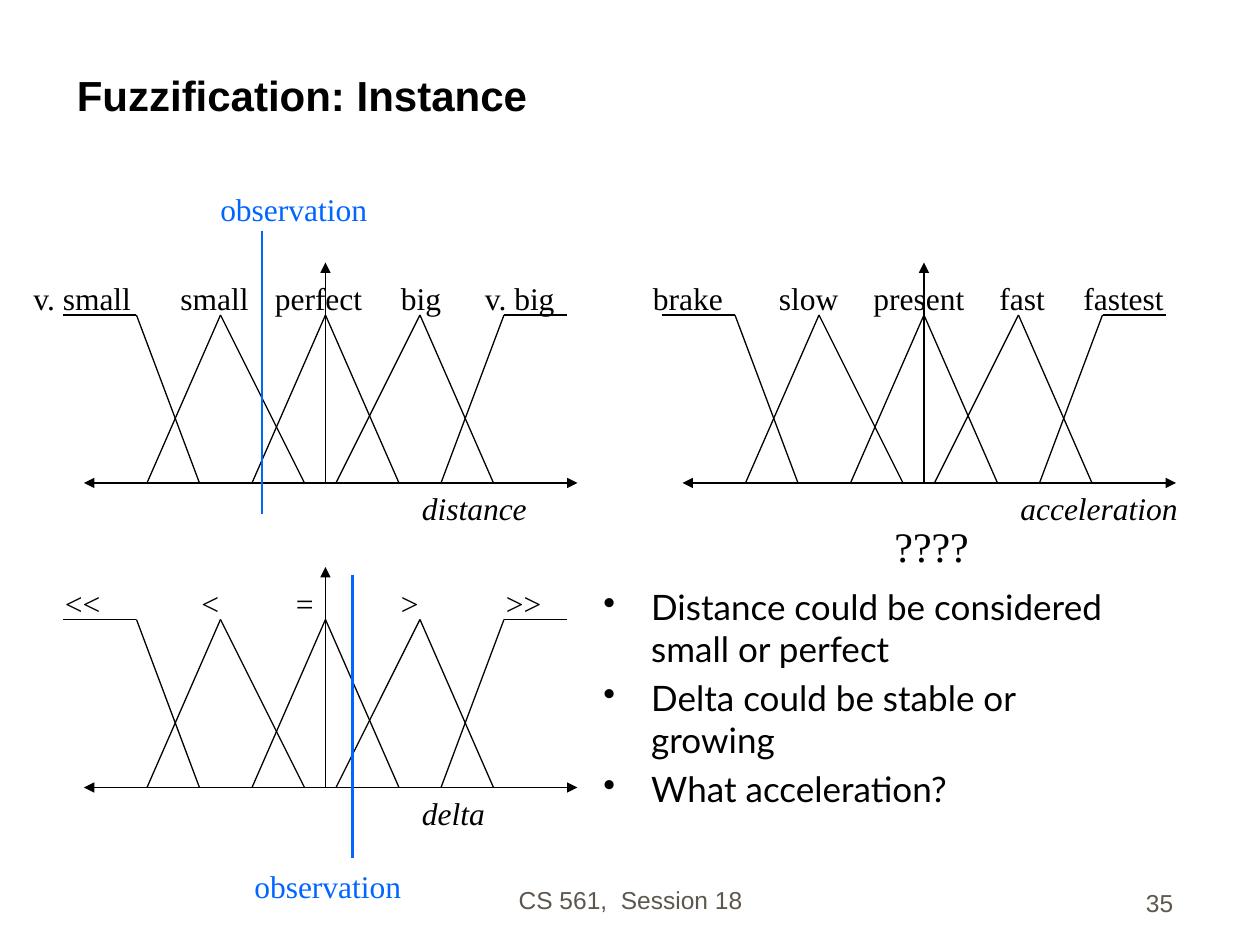
from lxml import etree
from pptx import Presentation
from pptx.dml.color import RGBColor
from pptx.enum.shapes import MSO_CONNECTOR
from pptx.enum.text import MSO_ANCHOR, MSO_AUTO_SIZE, PP_ALIGN
from pptx.oxml.ns import qn
from pptx.util import Inches, Pt

STRAIGHT = MSO_CONNECTOR.STRAIGHT
BOTTOM = MSO_ANCHOR.BOTTOM
TOP = MSO_ANCHOR.TOP
LEFT, CENTER, RIGHT = PP_ALIGN.LEFT, PP_ALIGN.CENTER, PP_ALIGN.RIGHT

COLORS = {"ink": "000000", "observation": "0066FF", "footer": "5E574E"}
SERIF, SANS, BODY = "Times New Roman", "Arial", "Lato"
UNIT = 1 / 12

TITLE = "Fuzzification: Instance"
BULLETS = [
    "Distance could be considered small or perfect",
    "Delta could be stable or growing",
    "What acceleration?",
]
FOOTERS = [
    ("CS 561,  Session 18", (3.42, 6.81, 3.17, 0.5), CENTER),
    ("35", (7.33, 6.83, 2.08, 0.5), RIGHT),
]

# center and baseline are counted in grid units; labels are (text, column, width)
PLOTS = [
    {"name": ("distance", 1.03), "center": 31, "baseline": 46, "labels": [
        ("v. small", -29, 0.99), ("small", -15, 0.74), ("perfect", -6, 0.9),
        ("big", 6, 0.52), ("v. big", 14, 0.77)]},
    {"name": ("delta", 0.7), "center": 31, "baseline": 75, "labels": [
        ("<<", -26, 0.48), ("<", -13, 0.34), ("=", -4, 0.34),
        (">", 6, 0.34), (">>", 16, 0.48)]},
    {"name": ("acceleration", 1.45), "center": 88, "baseline": 46, "labels": [
        ("brake", -27, 0.76), ("slow", -15, 0.67), ("present", -6, 0.92),
        ("fast", 6, 0.56), ("fastest", 14, 0.84)]},
]
PEAK, LABEL_ROW, AXIS_TOP = 16, 20, 21
AXIS_LEFT, AXIS_RIGHT, NAME_COLUMN = -23, 24, 8
MEMBERSHIP_CURVES = [
    [(-25, PEAK), (-18, PEAK), (-12, 0)],
    [(-17, 0), (-10, PEAK), (-2, 0)],
    [(-7, 0), (0, PEAK), (7, 0)],
    [(1, 0), (9, PEAK), (16, 0)],
    [(11, 0), (17, PEAK), (23, PEAK)],
]
OBSERVATION_LENGTH = 2.25
OBSERVATIONS = [
    {"line": (2.08, 1.83), "label": (1.65, 1.46)},
    {"line": (2.8, 4.56), "label": (1.92, 6.83)},
]


def style(paragraph, font_name, size, color="ink", bold=False, italic=False):
    font = paragraph.font
    font.name, font.size = font_name, Pt(size)
    font.bold, font.italic = bold, italic
    font.color.rgb = RGBColor.from_string(COLORS[color])


def add_text(slide, text, box, font_name=SERIF, size=18, color="ink",
             italic=False, align=LEFT, anchor=TOP, wrap=False):
    shape = slide.shapes.add_textbox(*map(Inches, box))
    frame = shape.text_frame
    frame.word_wrap = wrap
    frame.vertical_anchor = anchor
    frame.auto_size = MSO_AUTO_SIZE.NONE if wrap else MSO_AUTO_SIZE.SHAPE_TO_FIT_TEXT
    frame.text = text
    for paragraph in frame.paragraphs:
        paragraph.alignment = align
        style(paragraph, font_name, size, color, italic=italic)
    return frame


def add_line(slide, start, end, color="ink", width=0.75, arrows=()):
    connector = slide.shapes.add_connector(STRAIGHT, *map(Inches, (*start, *end)))
    connector.line.color.rgb = RGBColor.from_string(COLORS[color])
    connector.line.width = Pt(width)
    properties = connector._element.spPr
    outline = properties.find(qn("a:ln"))
    for arrow in arrows:
        etree.SubElement(outline, qn(f"a:{arrow}"), type="triangle")
    etree.SubElement(properties, qn("a:effectLst"))


def add_plot(slide, plot):
    def place(column, height):
        return (plot["center"] + column) * UNIT, (plot["baseline"] - height) * UNIT

    add_line(slide, place(AXIS_LEFT, 0), place(AXIS_RIGHT, 0), arrows=("headEnd", "tailEnd"))
    add_line(slide, place(0, 0), place(0, AXIS_TOP), arrows=("tailEnd",))
    for curve in MEMBERSHIP_CURVES:
        for start, end in zip(curve, curve[1:]):
            add_line(slide, place(*start), place(*end))
    name, width = plot["name"]
    add_text(slide, name, (*place(NAME_COLUMN, 0), width, 0.4), italic=True)
    for text, column, width in plot["labels"]:
        add_text(slide, text, (*place(column, LABEL_ROW), width, 0.4))


def add_title(slide):
    title = slide.shapes.title
    title.left, title.top, title.width, title.height = map(Inches, (0.51, 0.25, 8.92, 0.75))
    frame = title.text_frame
    frame.text = TITLE
    frame.vertical_anchor = BOTTOM
    frame.auto_size = MSO_AUTO_SIZE.NONE
    frame.paragraphs[0].alignment = LEFT
    style(frame.paragraphs[0], SANS, 24, bold=True)


def add_bullets(slide):
    frame = add_text(slide, "\n".join(BULLETS), (4.69, 4.6, 4.47, 2.31), BODY, 20, wrap=True)
    for paragraph in frame.paragraphs:
        paragraph.space_before = Pt(4)
        properties = paragraph._p.get_or_add_pPr()
        properties.set("marL", str(Inches(0.38)))
        properties.set("indent", str(-Inches(0.38)))
        bullet = etree.Element(qn("a:buChar"), char="•")
        properties.find(qn("a:defRPr")).addprevious(bullet)


def main():
    presentation = Presentation()
    presentation.slide_width, presentation.slide_height = Inches(10), Inches(7.5)
    slide = presentation.slides.add_slide(presentation.slide_layouts[5])
    for text, box, align in FOOTERS:
        add_text(slide, text, box, SANS, 14, "footer", align=align, anchor=BOTTOM, wrap=True)
    add_title(slide)
    add_bullets(slide)
    for plot in PLOTS:
        add_plot(slide, plot)
    for observation in OBSERVATIONS:
        left, top = observation["line"]
        add_line(slide, (left, top), (left, top + OBSERVATION_LENGTH), "observation", 1.5)
        add_text(slide, "observation", (*observation["label"], 1.37, 0.4), color="observation")
    add_text(slide, "????", (7, 4.08, 0.79, 0.5), size=24)
    presentation.save("out.pptx")


if __name__ == "__main__":
    main()
